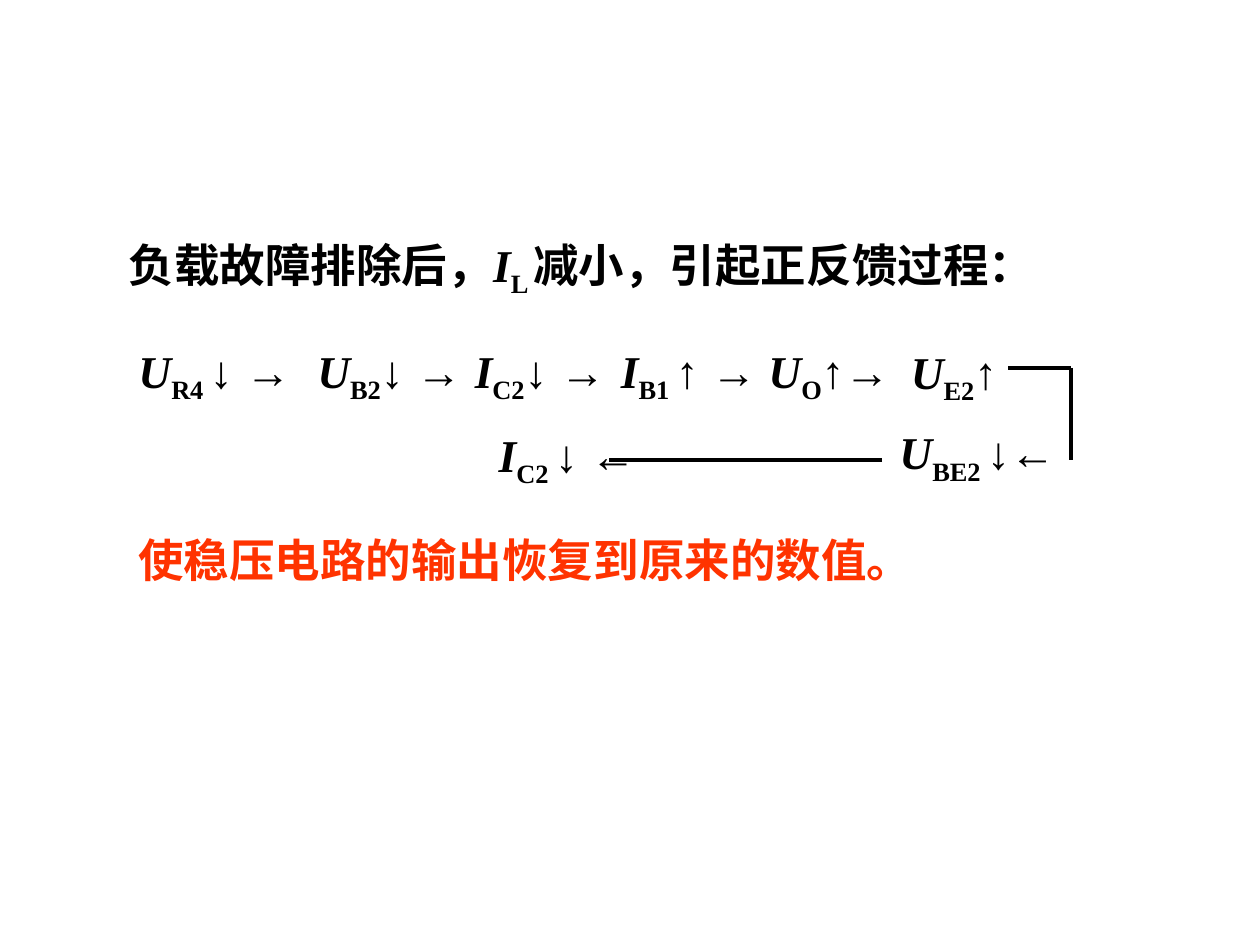
from dataclasses import dataclass

import pptx
import pptx.dml.color
import pptx.enum.shapes
import pptx.enum.text
import pptx.oxml.ns
import pptx.util
from lxml import etree

Inches = pptx.util.Inches


@dataclass(frozen=True)
class Theme:
    ink: str = "000000"
    accent: str = "FF3300"
    text_font: str = "Times New Roman"
    arrow_font: str = "Arial"
    size: float = 26
    line_width: float = 2.25
    subscript: str = "-25000"


@dataclass(frozen=True)
class Quantity:
    left: float
    top: float
    width: float
    symbol: str
    index: str
    arrows: str


@dataclass(frozen=True)
class Wire:
    start: tuple[float, float]
    end: tuple[float, float]


THEME = Theme()
ROW_TOP = 2.67
BOX_HEIGHT = 0.6
QUANTITIES = [
    Quantity(1, ROW_TOP, 5.08, "U", "R4 ", "↓ →"),
    Quantity(2.42, ROW_TOP, 3.67, "U", "B2", "↓ →"),
    Quantity(3.67, ROW_TOP, 2.5, "I", "C2", "↓ →"),
    Quantity(4.83, ROW_TOP, 2.67, "I", "B1 ", "↑ →"),
    Quantity(6, ROW_TOP, 2.58, "U", "O", "↑→"),
    Quantity(7.13, 2.68, 2.12, "U", "E2", "↑"),
    Quantity(7.04, 3.32, 2.5, "U", "BE2 ", "↓←"),
    Quantity(3.86, 3.34, 2.33, "I", "C2 ", "↓ ←"),
]
WIRES = [
    Wire((8, 2.92), (8.5, 2.92)),
    Wire((8.5, 2.92), (8.5, 3.65)),
    Wire((7, 3.65), (4.83, 3.65)),
]


def format_frame(box) -> None:
    frame = box.text_frame
    frame.word_wrap = True
    frame.auto_size = pptx.enum.text.MSO_AUTO_SIZE.SHAPE_TO_FIT_TEXT
    frame.vertical_anchor = pptx.enum.text.MSO_ANCHOR.TOP
    frame.paragraphs[0].alignment = pptx.enum.text.PP_ALIGN.LEFT


def add_text_box(page, left: float, top: float, width: float, height: float = BOX_HEIGHT):
    box = page.shapes.add_textbox(Inches(left), Inches(top), Inches(width), Inches(height))
    format_frame(box)
    return box.text_frame.paragraphs[0]


def add_span(para, text: str, italic: bool = False, lowered: bool = False,
             font: str = THEME.text_font, color: str = THEME.ink) -> None:
    span = para.add_run()
    span.text = text
    span.font.name = font
    span.font.size = pptx.util.Pt(THEME.size)
    span.font.bold = True
    span.font.italic = italic
    span.font.color.rgb = pptx.dml.color.RGBColor.from_string(color)
    if lowered:
        span.font._element.set("baseline", THEME.subscript)


def add_symbol(para, symbol: str, index: str) -> None:
    add_span(para, symbol, italic=True)
    add_span(para, index, lowered=True)


def add_quantity(page, quantity: Quantity) -> None:
    para = add_text_box(page, quantity.left, quantity.top, quantity.width)
    add_symbol(para, quantity.symbol, quantity.index)
    add_span(para, quantity.arrows, font=THEME.arrow_font)


def add_wire(page, wire: Wire) -> None:
    line = page.shapes.add_connector(
        pptx.enum.shapes.MSO_CONNECTOR.STRAIGHT,
        *map(Inches, wire.start + wire.end),
    )
    line.line.color.rgb = pptx.dml.color.RGBColor.from_string(THEME.ink)
    line.line.width = pptx.util.Pt(THEME.line_width)
    etree.SubElement(line._element.spPr, pptx.oxml.ns.qn("a:effectLst"))


def add_title(page) -> None:
    title = page.shapes.title
    title.left, title.top = Inches(0.92), Inches(1.83)
    title.width, title.height = Inches(7.75), Inches(BOX_HEIGHT)
    format_frame(title)
    para = title.text_frame.paragraphs[0]
    add_span(para, "负载故障排除后，")
    add_symbol(para, "I", "L ")
    add_span(para, "减小，引起正反馈过程：")


def main() -> None:
    deck = pptx.Presentation()
    deck.slide_width, deck.slide_height = Inches(10), Inches(7.5)
    page = deck.slides.add_slide(deck.slide_layouts.get_by_name("Title Only"))
    add_title(page)
    for quantity in QUANTITIES:
        add_quantity(page, quantity)
    for wire in WIRES:
        add_wire(page, wire)
    conclusion = add_text_box(page, 1, 4.17, 8, 0.54)
    add_span(conclusion, "使稳压电路的输出恢复到原来的数值。", color=THEME.accent)
    deck.save("out.pptx")


if __name__ == "__main__":
    main()
